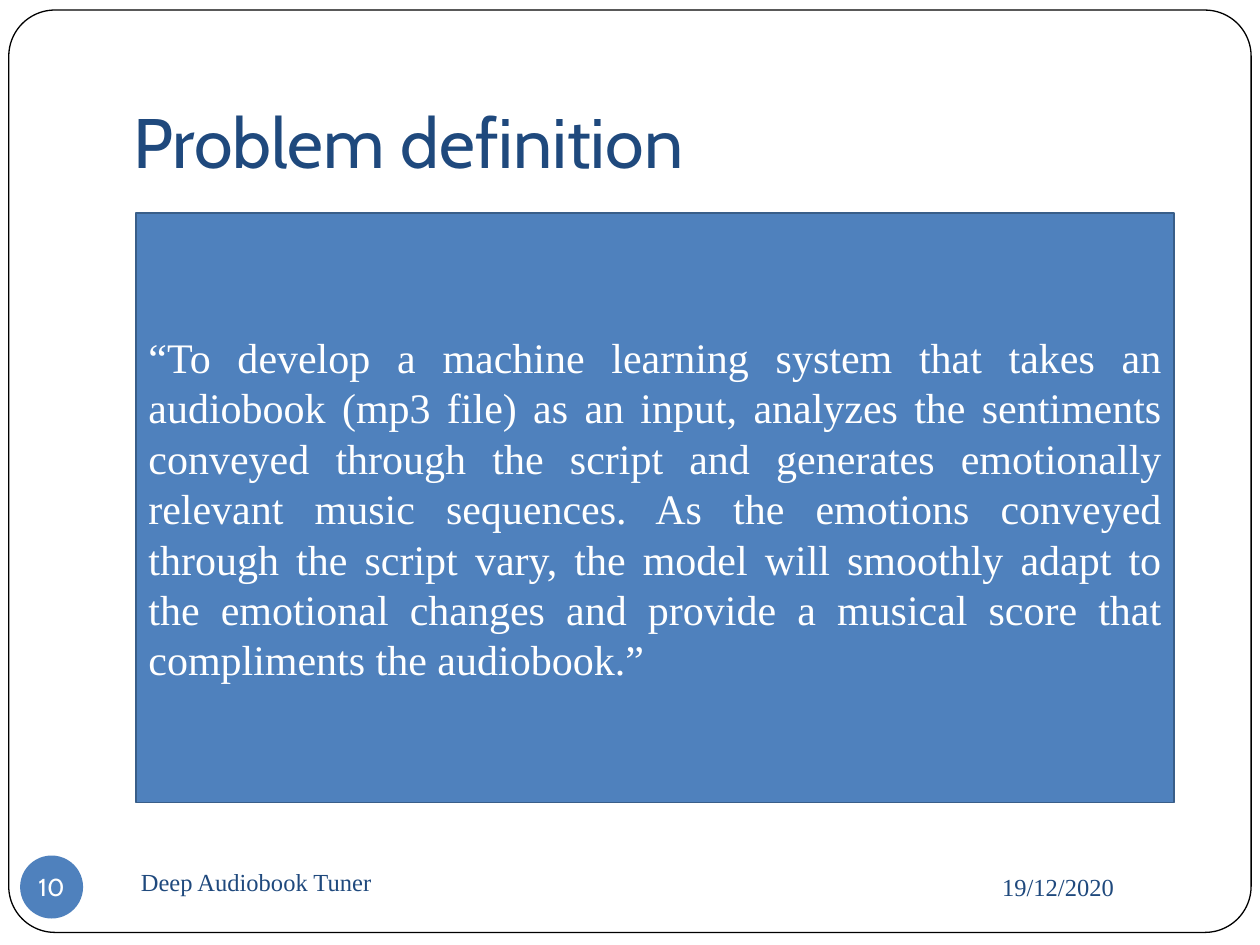
from pptx import Presentation
from pptx.dml.color import RGBColor
from pptx.enum.shapes import MSO_SHAPE
from pptx.enum.text import MSO_ANCHOR, MSO_AUTO_SIZE, PP_ALIGN
from pptx.util import Inches, Pt

WHITE = RGBColor(0xFF, 0xFF, 0xFF)
BLACK = RGBColor(0x00, 0x00, 0x00)
NAVY = RGBColor(0x1F, 0x49, 0x7D)
BLUE = RGBColor(0x4F, 0x81, 0xBD)
DARK_BLUE = RGBColor(0x39, 0x5E, 0x89)
HEADING_FONT = "Cabin"
BODY_FONT = "Times New Roman"

STATEMENT = (
    "“To develop a machine learning system that takes an audiobook (mp3 file) "
    "as an input, analyzes the sentiments conveyed through the script and "
    "generates emotionally relevant music sequences. As the emotions conveyed "
    "through the script vary, the model will smoothly adapt to the emotional "
    "changes and provide a musical score that compliments the audiobook.”"
)


def inches(box):
    return [Inches(length) for length in box]


def write(shape, text, font, size, color, align=PP_ALIGN.LEFT,
          anchor=MSO_ANCHOR.MIDDLE, insets=(0.1, 0.05, 0.1, 0.05)):
    """Fill a shape with one formatted paragraph; insets run left, top, right, bottom."""
    frame = shape.text_frame
    left, top, right, bottom = inches(insets)
    frame_format = {
        "word_wrap": True, "auto_size": MSO_AUTO_SIZE.NONE,
        "vertical_anchor": anchor, "margin_left": left, "margin_top": top,
        "margin_right": right, "margin_bottom": bottom,
    }
    for name, value in frame_format.items():
        setattr(frame, name, value)
    para = frame.paragraphs[0]
    para.alignment = align
    span = para.add_run()
    span.text = text
    for name, value in {"name": font, "size": Pt(size)}.items():
        setattr(span.font, name, value)
    span.font.color.rgb = color


def add_panel(page, kind, box, fill, line=None, width=1):
    panel = page.shapes.add_shape(kind, *inches(box))
    panel.shadow.inherit = False
    panel.fill.solid()
    panel.fill.fore_color.rgb = fill
    if line is None:
        panel.line.fill.background()
    else:
        panel.line.color.rgb = line
        panel.line.width = Pt(width)
    return panel


def add_frame(page, box):
    frame = add_panel(page, MSO_SHAPE.ROUNDED_RECTANGLE, box, WHITE, BLACK, 0.75)
    frame.adjustments[0] = 0.05
    # The title placeholder comes first on a new page, so lift it above the frame.
    frame.element.addnext(page.shapes.title.element)


def place_title(page, box, text):
    title = page.shapes.title
    title.left, title.top, title.width, title.height = inches(box)
    write(title, text, HEADING_FONT, 40, NAVY,
          anchor=MSO_ANCHOR.BOTTOM, insets=(0.1, 0.05, 0.1, 0.1))


def add_page_number(page, box, number):
    badge = add_panel(page, MSO_SHAPE.OVAL, box, BLUE)
    write(badge, number, HEADING_FONT, 14, WHITE, PP_ALIGN.CENTER, insets=(0, 0, 0, 0))


def add_statement(page, box, text):
    panel = add_panel(page, MSO_SHAPE.RECTANGLE, box, BLUE, DARK_BLUE)
    write(panel, text, BODY_FONT, 24, WHITE, PP_ALIGN.JUSTIFY)


def add_footer_text(page, box, text, align):
    footer = page.shapes.add_textbox(*inches(box))
    write(footer, text, BODY_FONT, 14, NAVY, align)


def main():
    deck = Presentation()
    deck.slide_width, deck.slide_height = Inches(10), Inches(7.5)
    page = deck.slides.add_slide(deck.slide_layouts[5])
    add_frame(page, (0.07, 0.08, 9.86, 7.32))
    place_title(page, (0.96, 0.3, 8.5, 1.25), "Problem definition")
    add_page_number(page, (0.16, 6.79, 0.5, 0.5), "10")
    add_statement(page, (1.08, 1.69, 8.24, 4.68), STATEMENT)
    add_footer_text(page, (6.86, 6.78, 2.08, 0.52), "19/12/2020", PP_ALIGN.RIGHT)
    add_footer_text(page, (1.02, 6.75, 4.33, 0.5), "Deep Audiobook Tuner", PP_ALIGN.LEFT)
    deck.save("out.pptx")


if __name__ == "__main__":
    main()
